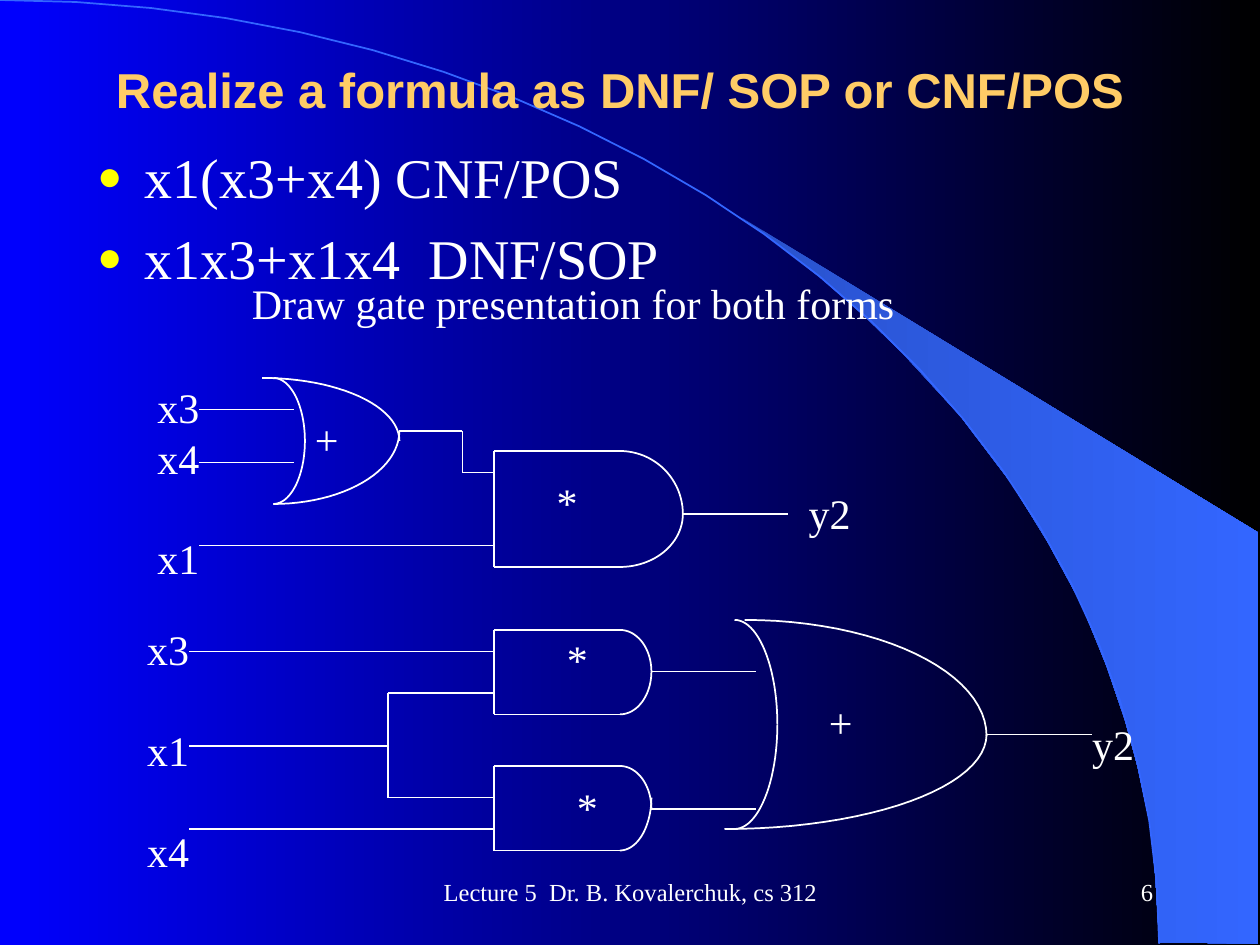
from math import sin, cos, pi
from lxml import etree
from pptx import Presentation
from pptx.dml.color import RGBColor
from pptx.enum.shapes import MSO_CONNECTOR as Conn
from pptx.enum.text import MSO_ANCHOR as Anchor, MSO_AUTO_SIZE as Fit, PP_ALIGN as Align
from pptx.oxml.ns import qn
from pptx.util import Inches, Pt

WHITE = RGBColor(0xFF, 0xFF, 0xFF)
GOLD = RGBColor(0xFF, 0xCC, 0x66)
YELLOW = RGBColor(0xFF, 0xFF, 0x00)
BLUE = RGBColor(0x00, 0x00, 0xFF)
BLACK = RGBColor(0x00, 0x00, 0x00)
SKY = RGBColor(0x33, 0x66, 0xFF)
DEEP = RGBColor(0x29, 0x52, 0xCC)
SERIF = "Times New Roman"
STEPS = 24
GAP = 28.8  # one line of 24 pt text


def shade(fill, start, end):
    fill.gradient()
    fill.gradient_angle = 0
    for stop, color in zip(fill.gradient_stops, (start, end)):
        stop.color.rgb = color


def outline(slide, pts, close=False):
    pts = [(Inches(x), Inches(y)) for x, y in pts]
    pen = slide.shapes.build_freeform(*pts[0], scale=1.0)
    pen.add_line_segments(pts[1:], close=close)
    shape = pen.convert_to_shape()
    shape.shadow.inherit = False
    return shape


def arc(slide, x, y, side, mid, color=WHITE):
    """Quarter ellipse from its level end (x, y) to its upright end (side, mid)."""
    turns = [pi / 2 * i / STEPS for i in range(STEPS + 1)]
    shape = outline(slide, [(x + (side - x) * sin(t), mid + (y - mid) * cos(t))
                            for t in turns])
    shape.fill.background()
    shape.line.color.rgb = color
    shape.line.width = Pt(1)


def wire(slide, *pts):
    for (x1, y1), (x2, y2) in zip(pts, pts[1:]):
        line = slide.shapes.add_connector(
            Conn.STRAIGHT, Inches(x1), Inches(y1), Inches(x2), Inches(y2))
        line.line.color.rgb = WHITE
        line.line.width = Pt(1)
        etree.SubElement(line.element.spPr, qn("a:effectLst"))


def write(para, text, size, color=WHITE, font=SERIF, bold=False):
    run = para.add_run()
    run.text = text
    run.font.size = Pt(size)
    run.font.name = font
    run.font.bold = bold
    run.font.color.rgb = color


def label(slide, box, *lines):
    """Stack of 24 pt lines, each a (text, space before) pair."""
    frame = slide.shapes.add_textbox(*map(Inches, box)).text_frame
    frame.word_wrap = False
    frame.auto_size = Fit.SHAPE_TO_FIT_TEXT
    for i, (text, gap) in enumerate(lines):
        para = frame.add_paragraph() if i else frame.paragraphs[0]
        para.line_spacing = Pt(GAP)
        para.space_before = Pt(gap)
        write(para, text, 24)


def and_gate(slide, box, flat, up, low):
    left, top, width, height = box
    right, base, bend = left + width, top + height, left + flat
    wire(slide, (bend, top), (left, top), (left, base), (bend, base))
    arc(slide, bend, top, right, top + up)
    arc(slide, bend, base, right, top + low)


def or_gate(slide, box, tips, back, bulge, up, low):
    left, top, width, height = box
    right, base = left + width, top + height
    arc(slide, left + tips[0], top, right, top + up)
    arc(slide, left + tips[1], base, right, top + low)
    for y in (top, base):
        arc(slide, left + back, y, left + bulge, top + height / 2)


def backdrop(slide):
    shade(slide.background.fill, BLUE, BLACK)
    band = outline(slide, [
        (9.2, 7.48), (9.99, 7.49), (9.99, 4.23), (5.89, 1.73), (6.24, 1.99),
        (6.53, 2.22), (6.85, 2.5), (7.16, 2.8), (7.62, 3.3), (8.03, 3.84),
        (8.32, 4.31), (8.58, 4.79), (8.78, 5.28), (8.93, 5.72), (9.03, 6.09),
        (9.13, 6.56), (9.17, 6.96)], close=True)
    shade(band.fill, DEEP, SKY)
    band.line.fill.background()
    arc(slide, 0, 0, 9.2, 7.49, SKY)


def footer(slide, box, text, align):
    frame = slide.shapes.add_textbox(*map(Inches, box)).text_frame
    frame.word_wrap = True
    frame.vertical_anchor = Anchor.MIDDLE
    para = frame.paragraphs[0]
    para.alignment = align
    write(para, text, 14)


def place(slide, shape, box, anchor):
    """Set a placeholder in its box, in front of the backdrop."""
    shape.left, shape.top, shape.width, shape.height = map(Inches, box)
    slide.shapes.element.append(shape.element)
    frame = shape.text_frame
    frame.auto_size = Fit.NONE
    frame.word_wrap = True
    frame.vertical_anchor = anchor
    return frame


def heading(slide, box):
    para = place(slide, slide.shapes.title, box, Anchor.MIDDLE).paragraphs[0]
    para.alignment = Align.CENTER
    write(para, "Realize a formula as DNF/ SOP or CNF/POS", 28, GOLD, "Arial", True)


def formulas(slide, box):
    frame = place(slide, slide.placeholders[1], box, Anchor.TOP)
    for i, text in enumerate(("x1(x3+x4) CNF/POS", "x1x3+x1x4  DNF/SOP")):
        para = frame.add_paragraph() if i else frame.paragraphs[0]
        para.line_spacing = Pt(38.4)
        para.space_before = Pt(8)
        write(para, text, 32)
        # Yellow hanging bullet
        props = para._p.get_or_add_pPr()
        props.set("marL", str(Inches(0.38)))
        props.set("indent", str(-Inches(0.38)))
        tint = etree.SubElement(props, qn("a:buClr"))
        etree.SubElement(tint, qn("a:srgbClr"), val=str(YELLOW))
        etree.SubElement(props, qn("a:buSzPct"), val="75000")
        etree.SubElement(props, qn("a:buChar"), char="●")


def product(slide, x, y):
    """Product of sums: (x3 + x4) * x1."""
    or_gate(slide, (x + 0.93, y, 1.09, 1), (0, 0.09), 0.09, 0.34, 0.5, 0.42)
    and_gate(slide, (x + 2.77, y + 0.58, 1.5, 0.92), 1, 0.5, 0.5)
    for dy, end in ((0.25, 1.18), (0.67, 1.18), (1.33, 2.77)):
        wire(slide, (x + 0.43, y + dy), (x + end, y + dy))
    wire(slide, (x + 2.02, y + 0.42), (x + 2.52, y + 0.42),
         (x + 2.52, y + 0.75), (x + 2.77, y + 0.75))
    wire(slide, (x + 4.27, y + 1.08), (x + 5.1, y + 1.08))
    label(slide, (x, y - 0.02, 0.54, 1.7), ("x3", 0), ("x4", 0), ("x1", GAP))
    label(slide, (x + 5.17, y + 0.82, 0.54, 0.5), ("y2", 0))
    label(slide, (x + 1.25, y + 0.23, 0.39, 0.5), ("+", 0))
    label(slide, (x + 3.17, y + 0.73, 0.37, 0.5), ("*", 0))


def total(slide, x, y):
    """Sum of products: x3 * x1 + x1 * x4."""
    for dy, up, low in ((0.1, 0.33, 0.33), (1.18, 0.34, 0.25)):
        and_gate(slide, (x + 2.85, y + dy, 1.25, 0.67), 1, up, low)
    or_gate(slide, (x + 4.68, y + 0.02, 2.08, 1.66), (0.16, 0), 0.08, 0.42, 0.92, 0.91)
    for start, end, dy in ((0.43, 2.85, 0.27), (0.43, 2.01, 1.02), (0.43, 2.85, 1.68),
                           (4.1, 4.93, 0.43), (4.1, 4.93, 1.52), (6.76, 7.6, 0.93)):
        wire(slide, (x + start, y + dy), (x + end, y + dy))
    # x1 feeds both gates
    wire(slide, (x + 2.85, y + 0.6), (x + 2.01, y + 0.6),
         (x + 2.01, y + 1.43), (x + 2.85, y + 1.43))
    label(slide, (x, y, 0.54, 2.1), ("x3", 0), ("x1", GAP), ("x4", GAP))
    label(slide, (x + 7.5, y + 0.75, 0.54, 0.5), ("y2", 0))
    label(slide, (x + 3.33, y + 0.08, 0.37, 0.5), ("*", 0))
    label(slide, (x + 3.41, y + 1.25, 0.37, 0.5), ("*", 0))
    label(slide, (x + 5.41, y + 0.58, 0.39, 0.5), ("+", 0))


def main():
    deck = Presentation()
    deck.slide_width, deck.slide_height = Inches(10), Inches(7.5)
    slide = deck.slides.add_slide(deck.slide_layouts[1])
    backdrop(slide)
    footer(slide, (3.42, 6.83, 3.17, 0.5), "Lecture 5  Dr. B. Kovalerchuk, cs 312",
           Align.CENTER)
    footer(slide, (7.17, 6.83, 2.08, 0.5), "6", Align.RIGHT)
    heading(slide, (0.67, 0.08, 8.5, 1.25))
    formulas(slide, (0.67, 1.08, 8.5, 4.5))
    product(slide, 1.15, 3)
    total(slide, 1.07, 4.9)
    label(slide, (1.9, 2.15, 5.39, 0.5), ("Draw gate presentation for both forms", 0))
    deck.save("out.pptx")


if __name__ == "__main__":
    main()
